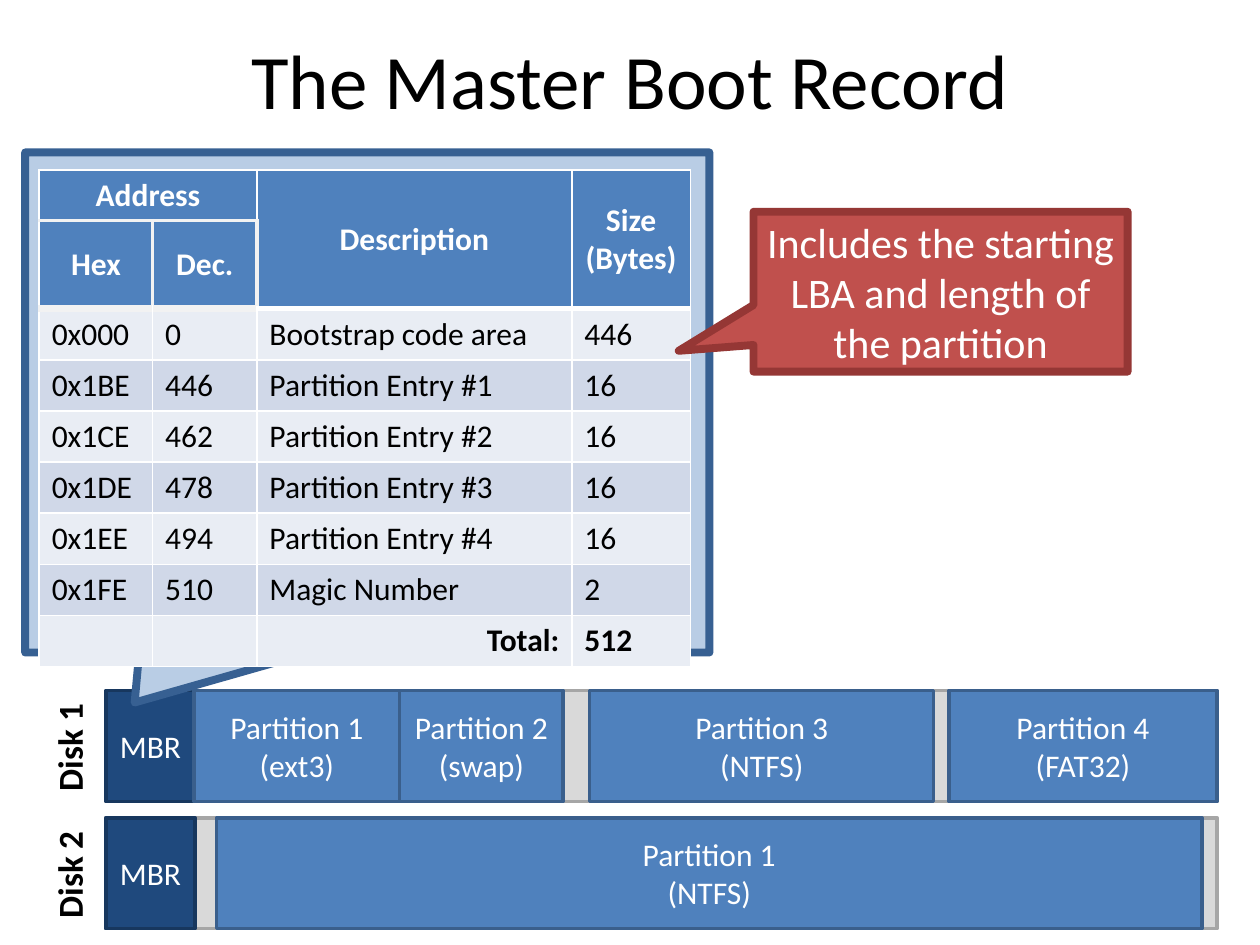
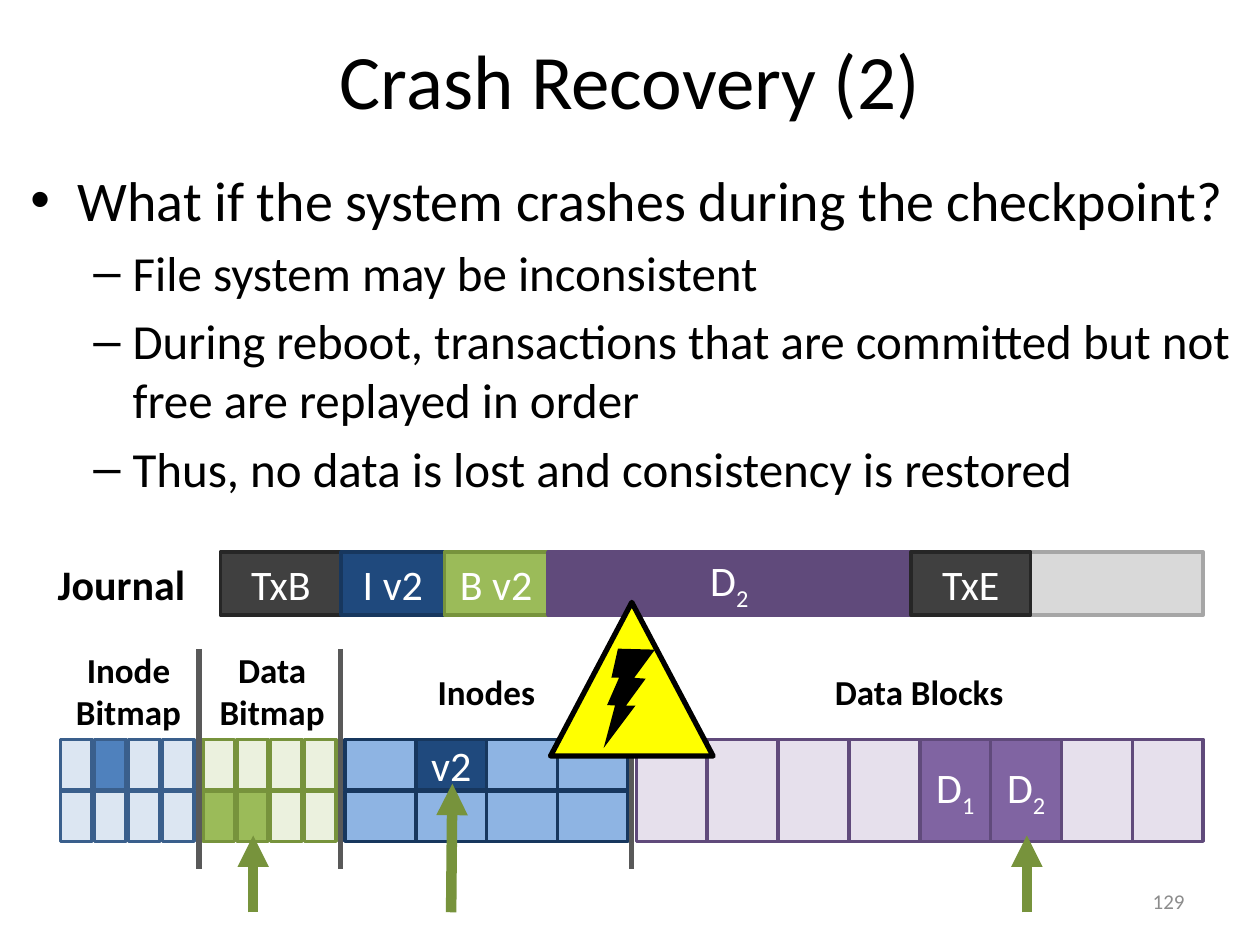
from dataclasses import dataclass, field
from typing import NamedTuple

from lxml.etree import SubElement
from pptx import Presentation
from pptx.dml.color import RGBColor
from pptx.enum.shapes import MSO_CONNECTOR, MSO_SHAPE
from pptx.enum.text import MSO_ANCHOR, MSO_AUTO_SIZE, PP_ALIGN
from pptx.oxml.ns import qn
from pptx.util import Pt

FONT = "Calibri"
COLOURS = {
    "white": "FFFFFF", "black": "000000", "yellow": "FFFF00",
    "pale grey": "D9D9D9", "mid grey": "A6A6A6", "number grey": "8C8C8C",
    "divider": "595959", "charcoal": "404040", "near black": "262626",
    "off white": "F2F2F2", "navy": "1F497D", "dark navy": "17375E",
    "blue": "4F81BD", "blue edge": "3A5F8C", "callout edge": "376092",
    "callout blue": "B9CDE5", "pale blue": "DCE6F2", "sky": "8EB4E3",
    "band light": "E9EDF4", "band dark": "D0D8E8",
    "red": "C0504D", "dark red": "953735",
    "green": "9BBB59", "dark green": "77933C", "pale green": "EBF1DE",
    "purple": "8064A2", "dark purple": "604A7B", "pale purple": "E6E0EC",
}


class Style(NamedTuple):
    fill: str
    line: str
    weight: float = 2


FREE = Style("pale grey", "mid grey")
BOOT = Style("navy", "dark navy")
PARTITION = Style("blue", "blue edge")
MARKER = Style("charcoal", "near black")
BITMAP = Style("green", "dark green")
JOURNAL_DATA = Style("dark purple", "dark purple")
DATA = Style("purple", "dark purple")


class Area(NamedTuple):
    left: float
    top: float
    width: float
    height: float


class Segment(NamedTuple):
    left: float
    width: float
    style: Style
    text: str


class Label(NamedTuple):
    text: str
    area: Area
    size: float = 20
    align: PP_ALIGN = PP_ALIGN.CENTER
    rotation: float = 0


class Disk(NamedTuple):
    name: str
    top: float
    partitions: list[Segment]


@dataclass
class BlockGrid:
    left: float
    columns: int
    pitch: float
    width: float
    empty: Style
    used: Style
    rows: int = 2
    height: float = 28.8
    marks: dict[tuple[int, int], str] = field(default_factory=dict)


def rgb(name: str) -> RGBColor:
    return RGBColor.from_string(COLOURS[name])


def lengths(area: Area) -> list[Pt]:
    return [Pt(value) for value in area]


def write(frame, text: str, size: float, colour: str = "white", bold: bool = False,
          align: PP_ALIGN = PP_ALIGN.CENTER) -> None:
    """Write one paragraph per line; what follows an underscore is a subscript."""
    for index, line in enumerate(text.split("\n")):
        para = frame.add_paragraph() if index else frame.paragraphs[0]
        para.alignment = align
        base, _, subscript = line.partition("_")
        for part in filter(None, (base, subscript)):
            span = para.add_run()
            span.text = part
            span.font.name, span.font.size, span.font.bold = FONT, Pt(size), bold
            span.font.color.rgb = rgb(colour)
        if subscript:
            span.font._element.set("baseline", "-25000")


def add_box(page, area: Area, style: Style, text: str = "", size: float = 24,
            kind: MSO_SHAPE = MSO_SHAPE.RECTANGLE):
    box = page.shapes.add_shape(kind, *lengths(area))
    box.shadow.inherit = False
    box.fill.solid()
    box.fill.fore_color.rgb = rgb(style.fill)
    if style.weight:
        box.line.color.rgb = rgb(style.line)
        box.line.width = Pt(style.weight)
    else:
        box.line.fill.background()
    if text:
        box.text_frame.word_wrap = True
        box.text_frame.vertical_anchor = MSO_ANCHOR.MIDDLE
        write(box.text_frame, text, size)
    return box


def add_callout(page, area: Area, style: Style, tip: tuple[float, float], text: str = "") -> None:
    box = add_box(page, area, style, text, kind=MSO_SHAPE.RECTANGULAR_CALLOUT)
    box.adjustments[0], box.adjustments[1] = tip


def add_label(page, label: Label) -> None:
    box = page.shapes.add_textbox(*lengths(label.area))
    box.rotation = label.rotation
    box.text_frame.word_wrap = False
    box.text_frame.auto_size = MSO_AUTO_SIZE.SHAPE_TO_FIT_TEXT
    write(box.text_frame, label.text, label.size, "black", True, label.align)


def add_line(page, start: tuple[float, float], end: tuple[float, float], colour: str,
             weight: float, arrow: bool = False) -> None:
    line = page.shapes.add_connector(
        MSO_CONNECTOR.STRAIGHT, *(Pt(value) for value in start + end))
    line.line.color.rgb = rgb(colour)
    line.line.width = Pt(weight)
    properties = line._element.spPr
    if arrow:
        SubElement(properties.find(qn("a:ln")), qn("a:tailEnd"), type="triangle")
    SubElement(properties, qn("a:effectLst"))


def place(shape, area: Area) -> None:
    shape.left, shape.top, shape.width, shape.height = lengths(area)


def add_page(deck, layout: int, title: str):
    page = deck.slides.add_slide(deck.slide_layouts[layout])
    place(page.shapes.title, Area(36, 0, 648, 90))
    page.shapes.title.text_frame.vertical_anchor = MSO_ANCHOR.MIDDLE
    write(page.shapes.title.text_frame, title, 44, "black")
    return page


def add_disk(page, disk: Disk) -> None:
    left, width, height = 60.5, 635, 63.4
    add_box(page, Area(left, disk.top, width, height), FREE)
    for segment in [Segment(left, 51, BOOT, "MBR"), *disk.partitions]:
        area = Area(segment.left, disk.top, segment.width, height)
        add_box(page, area, segment.style, segment.text, 18)
    add_label(page, Label(disk.name, Area(7.2, disk.top + 16.5, 64.8, 31.5),
                          align=PP_ALIGN.LEFT, rotation=270))


def format_cell(cell, fill: str, edges: dict[str, tuple[str, float]]) -> None:
    """Set the fill and the borders; edges holds those that are not thin white."""
    properties = cell._tc.get_or_add_tcPr()
    for side in "LRTB":
        colour, weight = edges.get(side, ("white", 1))
        line = SubElement(properties, qn(f"a:ln{side}"), w=str(Pt(weight)))
        solid = SubElement(line, qn("a:solidFill"))
        SubElement(solid, qn("a:srgbClr"), val=COLOURS[colour])
    cell.fill.solid()
    cell.fill.fore_color.rgb = rgb(fill)


def cell_edges(row: int, column: int) -> dict[str, tuple[str, float]]:
    medium, thick = ("off white", 2.25), ("off white", 4.5)
    if column > 1:
        return {"B": ("white", 3)} if row < 2 else {}
    if row == 0:
        return {"B": medium}
    if row == 1:
        inner = {"R": medium, "T": medium, "B": thick}
        return inner | {"L": medium} if column else inner
    return {"T": thick} if row == 2 else {}


def add_record_table(page) -> None:
    rows = [
        ("Address", "", "Description", "Size (Bytes)"),
        ("Hex", "Dec.", "", ""),
        ("0x000", "0", "Bootstrap code area", "446"),
        ("0x1BE", "446", "Partition Entry #1", "16"),
        ("0x1CE", "462", "Partition Entry #2", "16"),
        ("0x1DE", "478", "Partition Entry #3", "16"),
        ("0x1EE", "494", "Partition Entry #4", "16"),
        ("0x1FE", "510", "Magic Number", "2"),
        ("", "", "Total:", "512"),
    ]
    widths = (64.8, 59.6, 180, 67.8)
    area = Area(22.4, 97.2, sum(widths), 262)
    table = page.shapes.add_table(len(rows), len(widths), *lengths(area)).table
    table.first_row = table.horz_banding = False
    for column, width in zip(table.columns, widths):
        column.width = Pt(width)
    for row_index, texts in enumerate(rows):
        header, total = row_index < 2, row_index == len(rows) - 1
        table.rows[row_index].height = Pt(27.4 if header else 29.2)
        band = "blue" if header else ("band light", "band dark")[row_index % 2]
        for column_index, text in enumerate(texts):
            cell = table.cell(row_index, column_index)
            format_cell(cell, band, cell_edges(row_index, column_index))
            if header:
                cell.vertical_anchor = MSO_ANCHOR.MIDDLE
            align = PP_ALIGN.CENTER if header else PP_ALIGN.LEFT
            if text == "Total:":
                align = PP_ALIGN.RIGHT
            if text:
                write(cell.text_frame, text, 18, "white" if header else "black",
                      header or total, align)
    table.cell(0, 0).merge(table.cell(0, 1))
    for column_index in (2, 3):
        table.cell(0, column_index).merge(table.cell(1, column_index))


def build_boot_record(deck) -> None:
    page = add_page(deck, 5, "The Master Boot Record")
    add_disk(page, Disk("Disk 1", 394.6, [
        Segment(111, 117.3, PARTITION, "Partition 1\n(ext3)"),
        Segment(228.3, 93.6, PARTITION, "Partition 2\n(swap)"),
        Segment(337, 196.6, PARTITION, "Partition 3\n(NTFS)"),
        Segment(542.2, 153.3, PARTITION, "Partition 4\n(FAT32)"),
    ]))
    add_callout(page, Area(14.4, 87.1, 391, 285.8),
                Style("callout blue", "callout edge", 4.5), (-0.34, 0.6))
    add_record_table(page)
    add_callout(page, Area(430.6, 121, 213.8, 91.4), Style("red", "dark red", 4.5),
                (-0.7, 0.37), "Includes the starting LBA and length of the partition")
    add_disk(page, Disk("Disk 2", 467.3, [
        Segment(123.8, 563, PARTITION, "Partition 1\n(NTFS)"),
    ]))


def add_journal(page) -> None:
    left, top, height = 126, 315.4, 36
    add_label(page, Label("Journal", Area(25.9, top, 87.8, height), 24, PP_ALIGN.LEFT))
    add_box(page, Area(left, top, 561.6, height), FREE)
    entries = [("TxB", 69, MARKER), ("I v2", 59, BOOT), ("B v2", 59, BITMAP),
               ("D_2", 207.5, JOURNAL_DATA), ("TxE", 68.5, MARKER)]
    for text, width, style in entries:
        add_box(page, Area(left, top, width, height), style, text)
        left += width


def add_block_grid(page, grid: BlockGrid) -> None:
    top, row_pitch = 422.6, 29.4
    for row in range(grid.rows):
        for column in range(grid.columns):
            area = Area(grid.left + column * grid.pitch, top + row * row_pitch,
                        grid.width, grid.height)
            mark = grid.marks.get((row, column))
            add_box(page, area, grid.empty if mark is None else grid.used, mark or "")


def add_warning_sign(page) -> None:
    add_box(page, Area(314.6, 344.2, 92.9, 87.8), Style("yellow", "black", 3),
            kind=MSO_SHAPE.ISOSCELES_TRIANGLE)
    bolt = add_box(page, Area(333.4, 370.8, 49, 49), Style("black", "black", 0),
                   kind=MSO_SHAPE.LIGHTNING_BOLT)
    bolt.rotation = 336.9
    bolt._element.spPr.find(qn("a:xfrm")).set("flipH", "1")


def build_crash_recovery(deck) -> None:
    page = add_page(deck, 1, "Crash Recovery (2)")
    body = page.placeholders[1]
    place(body, Area(10.1, 90.7, 702.7, 407.5))
    points = [
        (0, "What if the system crashes during the checkpoint?"),
        (1, "File system may be inconsistent"),
        (1, "During reboot, transactions that are committed but not free are replayed in order"),
        (1, "Thus, no data is lost and consistency is restored"),
    ]
    write(body.text_frame, "\n".join(text for _, text in points), 28, "black",
          align=PP_ALIGN.LEFT)
    for para, (level, _) in zip(body.text_frame.paragraphs, points):
        para.level = level
        para.runs[0].font.size = Pt(28 if level else 32)
    body.text_frame.paragraphs[0].space_before = Pt(0)

    number = page.shapes.add_textbox(*lengths(Area(516.2, 500.4, 167.8, 28.8)))
    number.text_frame.word_wrap = True
    number.text_frame.vertical_anchor = MSO_ANCHOR.MIDDLE
    write(number.text_frame, "129", 12, "number grey", align=PP_ALIGN.RIGHT)

    add_journal(page)
    for grid in (
        BlockGrid(34.6, 4, 19.4, 18, Style("pale blue", "blue edge"), PARTITION,
                  marks={(0, 1): ""}),
        BlockGrid(115.9, 4, 19.4, 18, Style("pale green", "dark green"), BITMAP,
                  marks={(1, 0): "", (1, 1): ""}),
        BlockGrid(197.3, 4, 40.4, 40.4, Style("sky", "dark navy"), BOOT,
                  marks={(0, 1): "v2"}),
        BlockGrid(363.6, 8, 40.5, 40.5, Style("pale purple", "dark purple"), DATA,
                  rows=1, height=58.2, marks={(0, 4): "D_1", (0, 5): "D_2"}),
    ):
        add_block_grid(page, grid)
    for label in (
        Label("Inode\nBitmap", Area(36, 367.2, 74.9, 55.4)),
        Label("Data\nBitmap", Area(118.1, 367.2, 74.9, 55.4)),
        Label("Inodes", Area(242.6, 379.4, 70.6, 31.5)),
        Label("Data Blocks", Area(469.4, 379.4, 111.6, 31.5)),
    ):
        add_label(page, label)
    for x in (113.8, 194.4, 360.7):
        add_line(page, (x, 370.8), (x, 496.8), "divider", 3)
    for start_x, tip_x, tip_y in ((257.8, 258.5, 447.8), (144.7, 144.7, 477.4),
                                  (586.8, 586.8, 477.4)):
        add_line(page, (start_x, 521.3), (tip_x, tip_y), "dark green", 6, arrow=True)
    add_warning_sign(page)


def main() -> None:
    deck = Presentation()
    deck.slide_width, deck.slide_height = Pt(720), Pt(540)
    build_boot_record(deck)
    build_crash_recovery(deck)
    deck.save("out.pptx")


if __name__ == "__main__":
    main()
